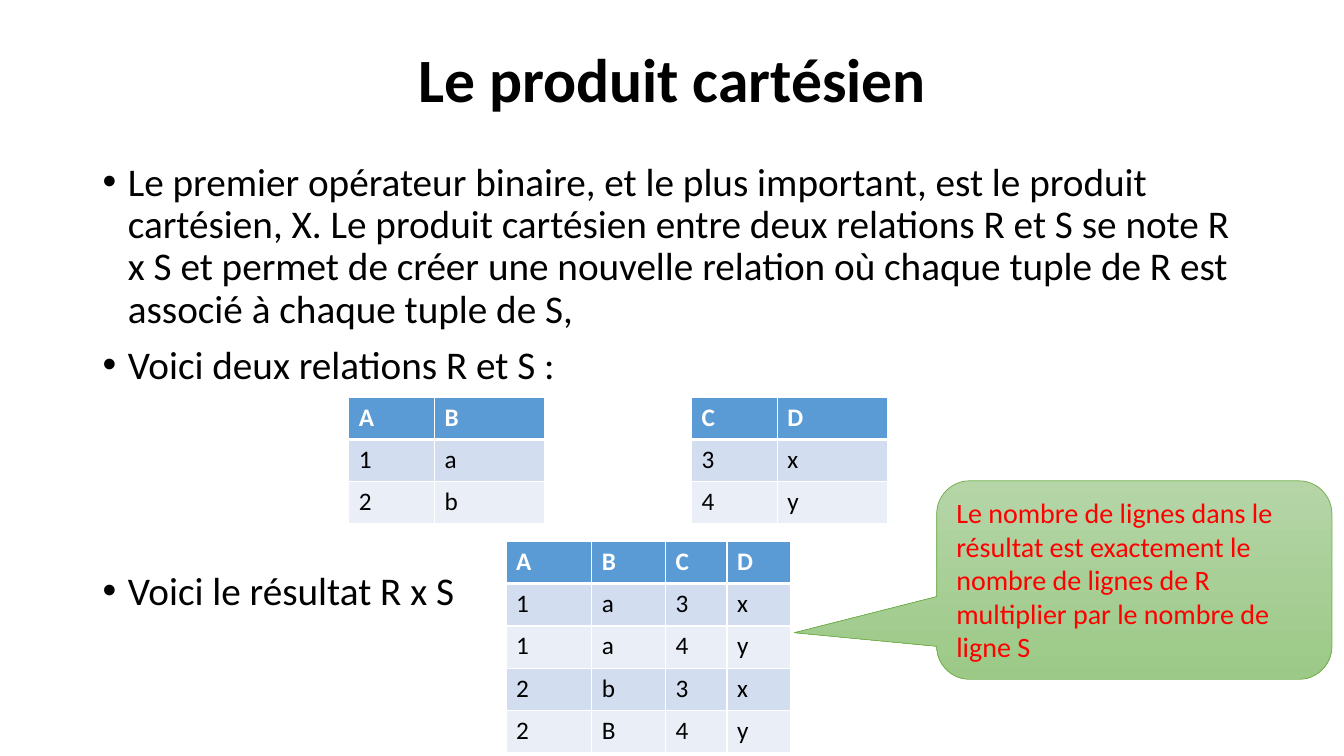
"""Build the slide on the Cartesian product of two relations."""
from lxml.etree import SubElement
from pptx import Presentation
from pptx.dml.color import RGBColor
from pptx.enum.shapes import MSO_SHAPE as SHAPE
from pptx.enum.text import MSO_ANCHOR as ANCHOR, PP_ALIGN as ALIGN
from pptx.oxml import parse_xml
from pptx.oxml.ns import nsdecls, qn
from pptx.util import Inches, Pt

BLACK = RGBColor(0x00, 0x00, 0x00)
WHITE = RGBColor(0xFF, 0xFF, 0xFF)
RED = RGBColor(0xFF, 0x00, 0x00)
BLUE = RGBColor(0x5B, 0x9B, 0xD5)
BANDS = RGBColor(0xD2, 0xDE, 0xEF), RGBColor(0xEA, 0xEF, 0xF7)
GREEN = RGBColor(0x70, 0xAD, 0x47)
FADE = RGBColor(0xB5, 0xD5, 0xA7), RGBColor(0x9C, 0xC9, 0x87)

TITLE = "Le produit cartésien"
POINTS = [
    ("Le premier opérateur binaire, et le plus important, est le produit "
     "cartésien, X. Le produit cartésien entre deux relations R et S se note "
     "R x S et permet de créer une nouvelle relation où chaque tuple de R est "
     "associé à chaque tuple de S,", 10),
    ("Voici deux relations R et S :", 10),
    ("Voici le résultat R x S", 131),
]
TABLES = [
    (3.46, 3.94, [0.85, 1.09], ["AB", "1a", "2b"]),
    (6.86, 3.94, [0.85, 1.09], ["CD", "3x", "4y"]),
    (5.02, 5.37, [0.85, 0.73, 0.61, 0.63],
     ["ABCD", "1a3x", "1a4y", "2b3x", "2B4y"]),
]
NOTE = ("Le nombre de lignes dans le résultat est exactement le nombre de "
        "lignes de R multiplier par le nombre de ligne S")
ROW = 0.42


def write(frame, items, size=18, color=BLACK, bold=False, align=ALIGN.LEFT,
          anchor=ANCHOR.TOP, line=1.0, bullet=False):
    frame.word_wrap = True
    frame.vertical_anchor = anchor
    for n, (text, before) in enumerate(items):
        para = frame.add_paragraph() if n else frame.paragraphs[0]
        para.alignment, para.line_spacing = align, line
        para.space_before = Pt(before)
        run = para.add_run()
        run.text = text
        font = run.font
        font.name, font.size, font.bold = "Calibri", Pt(size), bold
        font.color.rgb = color
        if bullet:
            props = para._p.get_or_add_pPr()
            props.set("marL", str(Inches(0.25)))
            props.set("indent", str(Inches(-0.25)))
            SubElement(props, qn("a:buFont")).set("typeface", "Arial")
            SubElement(props, qn("a:buChar")).set("char", "•")


def edge(cell, row):
    widths = {"L": 1, "R": 1, "T": 3 if row == 1 else 1,
              "B": 3 if row == 0 else 1}
    props = cell._tc.get_or_add_tcPr()
    for n, (side, width) in enumerate(widths.items()):
        props.insert(n, parse_xml(
            f'<a:ln{side} {nsdecls("a")} w="{Pt(width)}"><a:solidFill>'
            f'<a:srgbClr val="{WHITE}"/></a:solidFill></a:ln{side}>'))


def grid(slide, left, top, cols, rows):
    table = slide.shapes.add_table(
        len(rows), len(cols), Inches(left), Inches(top),
        Inches(sum(cols)), Inches(ROW * len(rows))).table
    for col, width in zip(table.columns, cols):
        col.width = Inches(width)
    for r, row in enumerate(rows):
        table.rows[r].height = Inches(ROW)
        for c, text in enumerate(row):
            cell = table.cell(r, c)
            cell.fill.solid()
            cell.fill.fore_color.rgb = BANDS[(r - 1) % 2] if r else BLUE
            write(cell.text_frame, [(text, 0)], bold=r == 0,
                  color=BLACK if r else WHITE)
            edge(cell, r)


def label(slide, box, items, **style):
    shape = slide.shapes.add_textbox(*map(Inches, box))
    write(shape.text_frame, items, line=0.9, **style)


def callout(slide):
    shape = slide.shapes.add_shape(
        SHAPE.ROUNDED_RECTANGULAR_CALLOUT,
        *map(Inches, (9.29, 4.77, 3.92, 1.97)))
    for n, value in enumerate((-0.86, 0.265, 0.167)):
        shape.adjustments[n] = value
    shape.shadow.inherit = False
    shape.fill.gradient()
    shape.fill.gradient_angle = 270
    for stop, color in zip(shape.fill.gradient_stops, FADE):
        stop.color.rgb = color
    shape.line.color.rgb = GREEN
    shape.line.width = Pt(0.5)
    write(shape.text_frame, [(NOTE, 0)], size=20, color=RED)


def main():
    deck = Presentation()
    deck.slide_width, deck.slide_height = Inches(13.33), Inches(7.5)
    slide = deck.slides.add_slide(deck.slide_layouts[6])
    label(slide, (0.92, 0.25, 11.5, 1.13), [(TITLE, 0)], size=44, bold=True,
          align=ALIGN.CENTER, anchor=ANCHOR.MIDDLE)
    label(slide, (0.92, 1.56, 11.5, 4.76), POINTS, size=28, bullet=True)
    for table in TABLES:
        grid(slide, *table)
    callout(slide)
    deck.save("out.pptx")


if __name__ == "__main__":
    main()
